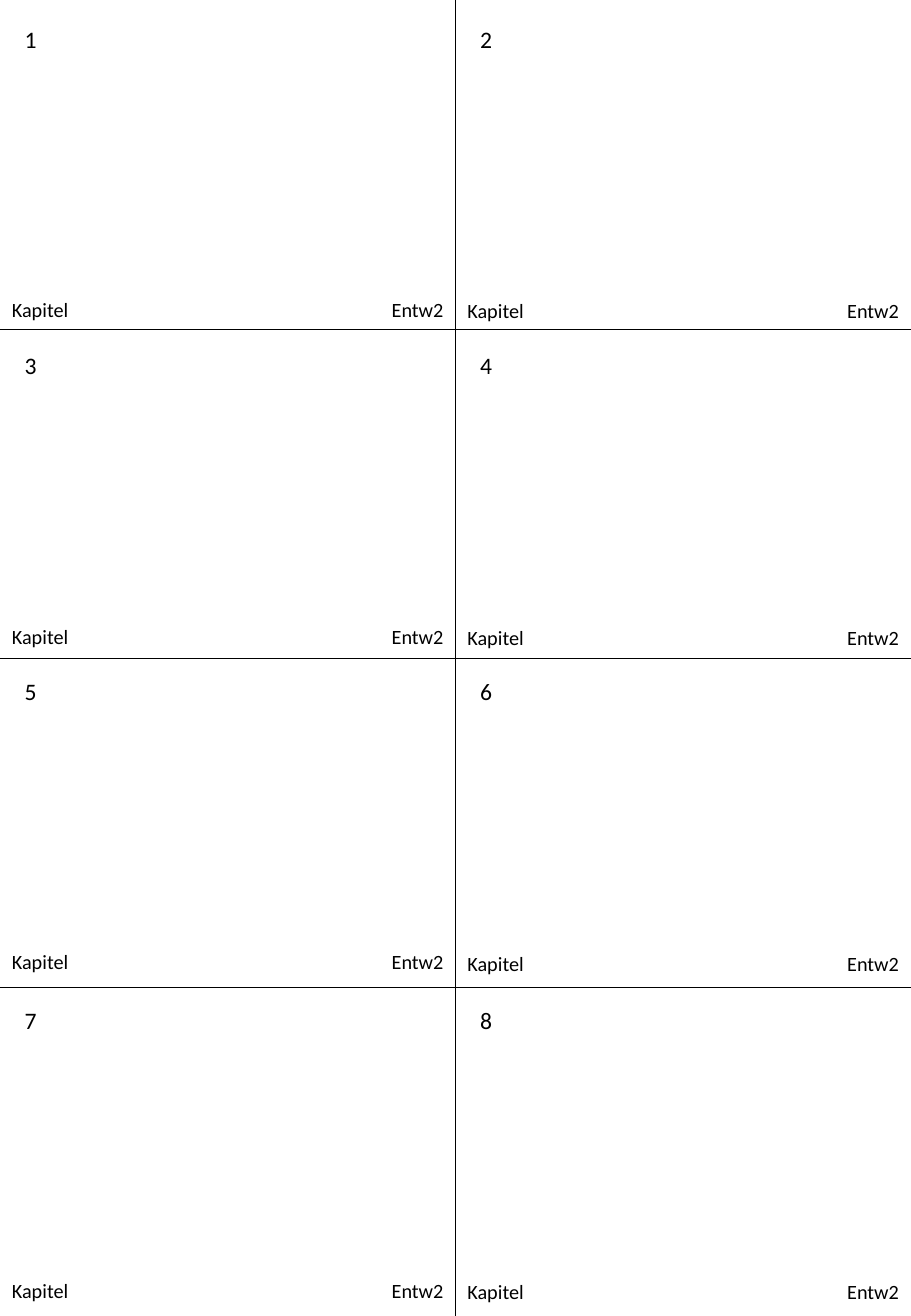
from dataclasses import dataclass

from lxml.etree import SubElement
from pptx import Presentation
from pptx.dml.color import RGBColor
from pptx.enum.shapes import MSO_CONNECTOR
from pptx.enum.text import MSO_AUTO_SIZE, PP_ALIGN
from pptx.oxml.ns import qn
from pptx.slide import Slide
from pptx.util import Pt


@dataclass(frozen=True)
class Theme:
    font: str = "Calibri"
    ink: RGBColor = RGBColor(0, 0, 0)
    number_size: float = 14
    footer_size: float = 12
    line_width: float = 0.5


@dataclass(frozen=True)
class Label:
    text: str
    left: float
    top: float
    width: float
    height: float
    size: float
    align: PP_ALIGN = PP_ALIGN.LEFT
    wrap: bool = True


@dataclass(frozen=True)
class Rule:
    x1: float
    y1: float
    x2: float
    y2: float


@dataclass(frozen=True)
class CardRow:
    number_top: float
    footer_top: float


THEME = Theme()
PAGE_W, PAGE_H = 540, 779.76
COLUMNS = 2
ROWS = [
    CardRow(11.5, 172.8),
    CardRow(204.5, 366.2),
    CardRow(397.4, 559.2),
    CardRow(592.6, 753.8),
]
CARD_W, CARD_H = PAGE_W / COLUMNS, PAGE_H / len(ROWS)
FOOTER_STEP = 0.6
TAG_W = 45.4


def add_label(slide: Slide, label: Label) -> None:
    sp = slide.shapes.add_textbox(
        Pt(label.left), Pt(label.top), Pt(label.width), Pt(label.height))
    tf = sp.text_frame
    tf.word_wrap = label.wrap
    tf.auto_size = MSO_AUTO_SIZE.SHAPE_TO_FIT_TEXT
    p = tf.paragraphs[0]
    p.text = label.text
    p.alignment = label.align
    r = p.runs[0]
    r.font.name = THEME.font
    r.font.size = Pt(label.size)
    r.font.color.rgb = THEME.ink


def add_rule(slide: Slide, rule: Rule) -> None:
    line = slide.shapes.add_connector(
        MSO_CONNECTOR.STRAIGHT,
        Pt(rule.x1), Pt(rule.y1), Pt(rule.x2), Pt(rule.y2))
    line.line.color.rgb = THEME.ink
    line.line.width = Pt(THEME.line_width)
    SubElement(line._element.spPr, qn("a:effectLst"))


def card_labels(number: int, column: int, row: CardRow) -> list[Label]:
    left = column * CARD_W
    footer_top = row.footer_top + column * FOOTER_STEP
    return [
        Label(str(number), left + 7.5, row.number_top, 255, 24.2,
              THEME.number_size),
        Label("Kapitel", left, footer_top, 208.8, 21.8, THEME.footer_size),
        Label("Entw2", left + CARD_W - TAG_W, footer_top, TAG_W, 21.8,
              THEME.footer_size, PP_ALIGN.RIGHT, wrap=False),
    ]


def main() -> None:
    prs = Presentation()
    prs.slide_width, prs.slide_height = Pt(PAGE_W), Pt(PAGE_H)
    slide = prs.slides.add_slide(prs.slide_layouts[6])

    # Cutting lines between the cards
    rules = [Rule(0, i * CARD_H, PAGE_W, i * CARD_H)
             for i in range(1, len(ROWS))]
    rules.append(Rule(CARD_W, 0, CARD_W, PAGE_H))
    for rule in rules:
        add_rule(slide, rule)

    # Number and footer of each card
    for i, row in enumerate(ROWS):
        for column in range(COLUMNS):
            for label in card_labels(i * COLUMNS + column + 1, column, row):
                add_label(slide, label)

    prs.save("out.pptx")


if __name__ == "__main__":
    main()
